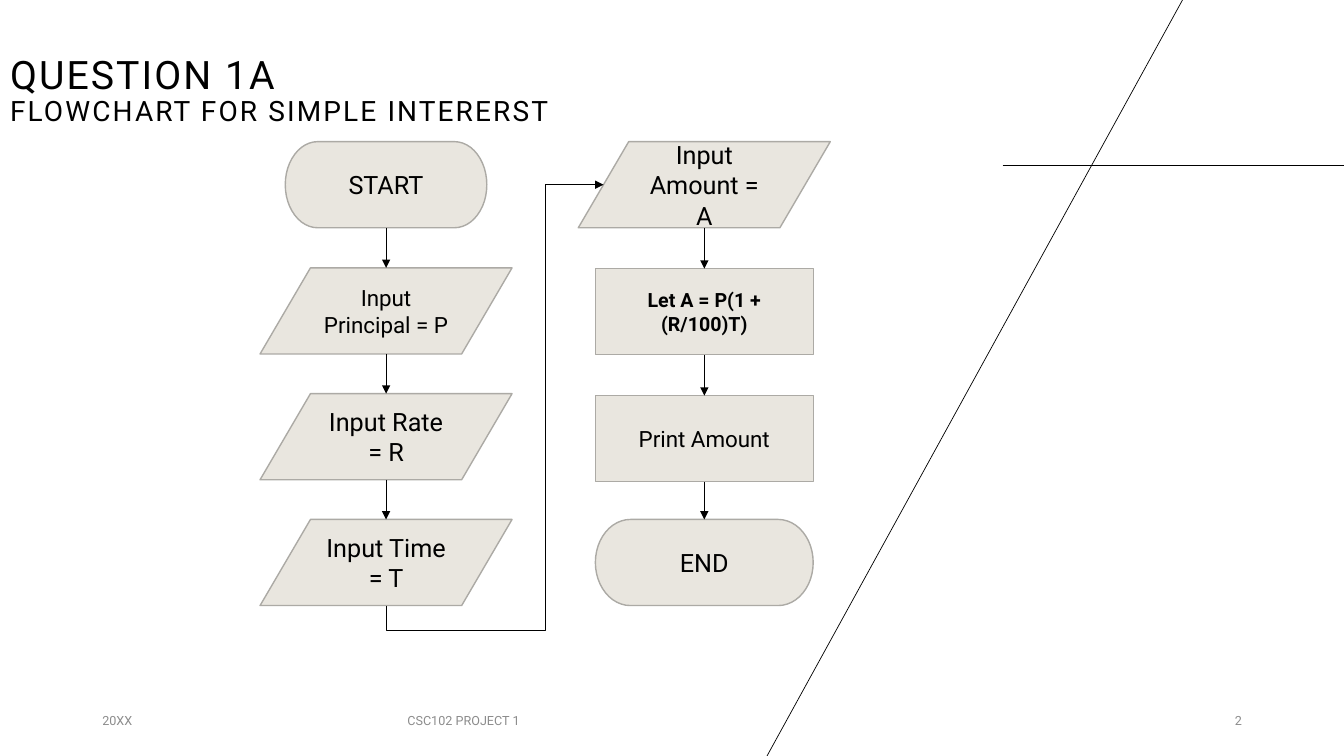
from lxml import etree
from pptx import Presentation
from pptx.dml.color import RGBColor
from pptx.enum import shapes, text
from pptx.oxml.ns import qn
from pptx.util import Cm, Pt

TERMINATOR = shapes.MSO_SHAPE.FLOWCHART_TERMINATOR
DATA = shapes.MSO_SHAPE.FLOWCHART_DATA
PROCESS = shapes.MSO_SHAPE.FLOWCHART_PROCESS
LEFT, CENTER, RIGHT = text.PP_ALIGN.LEFT, text.PP_ALIGN.CENTER, text.PP_ALIGN.RIGHT

COLORS = {"ink": "000000", "muted": "8C8C8C", "box": "E9E6DF", "edge": "ACAAA5"}
FONT = "Roboto"

TITLE = [("QUESTION 1A", 28), ("FLOWCHART FOR SIMPLE INTERERST", 20)]
COLUMNS = [
    (9.73, [
        (TERMINATOR, 5.08, 3.57, "START", 18, False),
        (DATA, 6.35, 6.75, "Input Principal = P", 16, False),
        (DATA, 6.35, 9.92, "Input Rate = R", 18, False),
        (DATA, 6.35, 13.09, "Input Time = T", 18, False),
    ]),
    (17.75, [
        (DATA, 6.35, 3.57, "Input Amount = A", 18, False),
        (PROCESS, 5.49, 6.77, "Let A = P(1 + (R/100)T)", 14, True),
        (PROCESS, 5.49, 9.97, "Print Amount", 16, False),
        (TERMINATOR, 5.49, 13.09, "END", 18, False),
    ]),
]
BOX_H = 2.17
DECOR_LINES = [(25.27, 4.17, 33.87, 4.17), (29.8, 0, 19.33, 19.05)]
FOOTERS = [
    (2.33, 3.39, "20XX", LEFT),
    (6.84, 9.68, "CSC102 PROJECT 1", CENTER),
    (23.93, 7.62, "2", RIGHT),
]


def rgb(name):
    return RGBColor.from_string(COLORS[name])


def style(r, size, color="ink", bold=False):
    r.font.name = FONT
    r.font.size = Pt(size)
    r.font.bold = bold
    r.font.color.rgb = rgb(color)


def write(sp, words, size, color="ink", align=CENTER, bold=False):
    tf = sp.text_frame
    tf.text = words
    tf.word_wrap = True
    tf.vertical_anchor = text.MSO_ANCHOR.MIDDLE
    p = tf.paragraphs[0]
    p.alignment = align
    style(p.runs[0], size, color, bold)


def add_line(ends, kind=shapes.MSO_CONNECTOR.STRAIGHT, arrow=True):
    c = s.shapes.add_connector(kind, *[Cm(v) for v in ends])
    c.line.color.rgb = rgb("ink")
    c.line.width = Pt(0.5)
    if arrow:
        etree.SubElement(c.line._get_or_add_ln(), qn("a:tailEnd"), type="triangle")
    etree.SubElement(c._element.spPr, qn("a:effectLst"))
    return c


def add_return_arrow(x1, y1, x2, y2, drop, turn_x):
    w, h = y1 - y2, x2 - x1
    cx, cy = (x1 + x2) / 2, (y1 + y2) / 2
    ends = (cx + w / 2, cy + h / 2, cx - w / 2, cy - h / 2)
    c = add_line(ends, shapes.MSO_CONNECTOR.ELBOW)
    c._element.spPr.find(qn("a:xfrm")).set("rot", "5400000")
    geom = c._element.spPr.find(qn("a:prstGeom"))
    geom.set("prst", "bentConnector4")
    guides = geom.find(qn("a:avLst"))
    for i, share in enumerate((-drop / w, (turn_x - x1) / h), 1):
        etree.SubElement(guides, qn("a:gd"), name=f"adj{i}", fmla=f"val {round(share * 100000)}")


prs = Presentation()
prs.slide_width, prs.slide_height = Cm(33.87), Cm(19.05)
s = prs.slides.add_slide(prs.slide_layouts[5])

for ends in DECOR_LINES:
    add_line(ends, arrow=False)

title = s.shapes.title
title.left, title.top, title.width, title.height = Cm(0), Cm(0), Cm(14.2), Cm(3.35)
tf = title.text_frame
tf.text = "\v".join(words for words, size in TITLE)
tf.word_wrap = True
tf.vertical_anchor = text.MSO_ANCHOR.BOTTOM
p = tf.paragraphs[0]
p.alignment = LEFT
p.line_spacing = 0.9
for r, (words, size) in zip(p.runs, TITLE):
    style(r, size)
    r.font._element.set("spc", "150")

for left, width, words, align in FOOTERS:
    sp = s.shapes.add_textbox(Cm(left), Cm(17.65), Cm(width), Cm(1.01))
    write(sp, words, 9, "muted", align)

for x, steps in COLUMNS:
    for kind, width, top, words, size, bold in steps:
        sp = s.shapes.add_shape(kind, Cm(x - width / 2), Cm(top), Cm(width), Cm(BOX_H))
        sp.shadow.inherit = False
        sp.fill.solid()
        sp.fill.fore_color.rgb = rgb("box")
        sp.line.color.rgb = rgb("edge")
        sp.line.width = Pt(1)
        write(sp, words, size, bold=bold)

for x, steps in COLUMNS:
    tops = [step[2] for step in steps]
    for top, next_top in zip(tops, tops[1:]):
        add_line((x, top + BOX_H, x, next_top))

(left_x, left_steps), (right_x, right_steps) = COLUMNS
last, first = left_steps[-1], right_steps[0]
slant_edge = right_x - first[1] * 0.4
add_return_arrow(left_x, last[2] + BOX_H, slant_edge, first[2] + BOX_H / 2, 0.64, 13.74)

prs.save("out.pptx")
